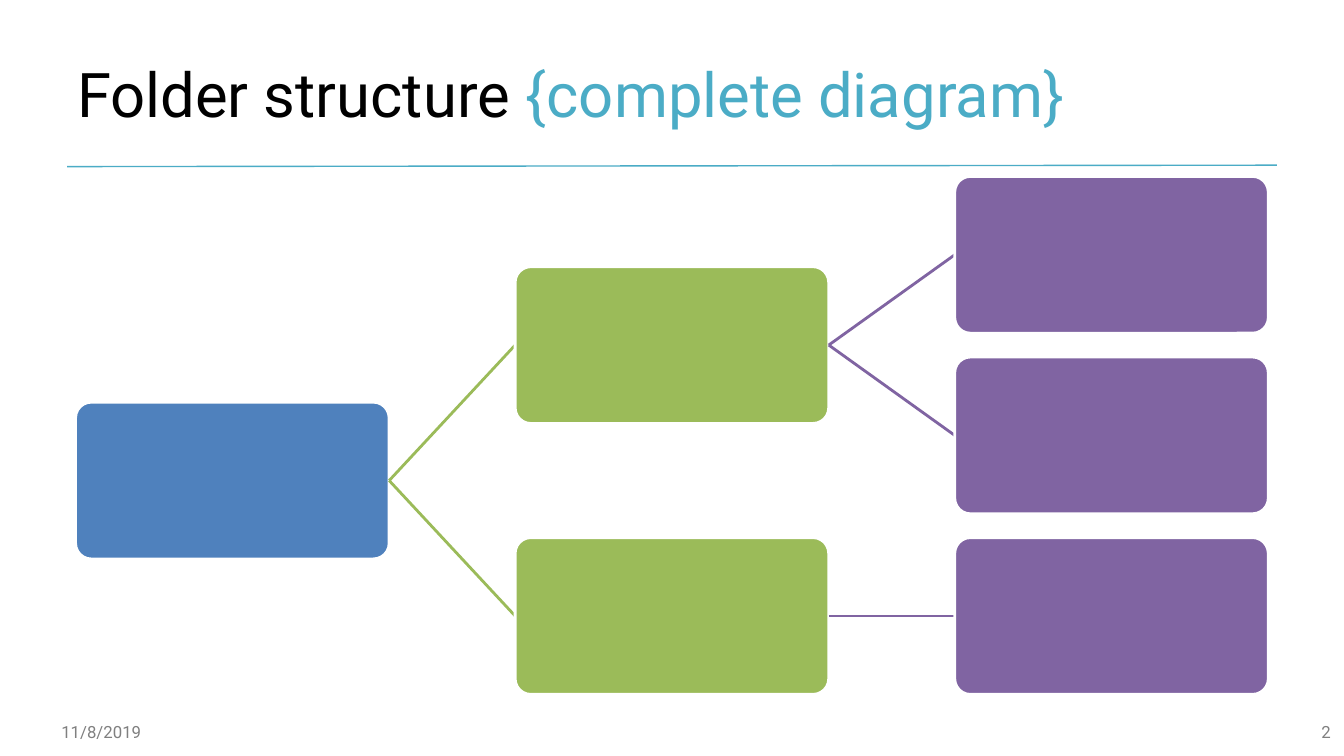
from pptx import Presentation
from pptx.dml.color import RGBColor
from pptx.enum.shapes import MSO_CONNECTOR, MSO_SHAPE
from pptx.enum.text import MSO_ANCHOR, PP_ALIGN
from pptx.oxml.ns import qn
from pptx.util import Pt
from lxml import etree

STRAIGHT = MSO_CONNECTOR.STRAIGHT
ROUNDED = MSO_SHAPE.ROUNDED_RECTANGLE
MIDDLE = MSO_ANCHOR.MIDDLE
LEFT, RIGHT = PP_ALIGN.LEFT, PP_ALIGN.RIGHT

BLACK = RGBColor(0x00, 0x00, 0x00)
WHITE = RGBColor(0xFF, 0xFF, 0xFF)
GRAY = RGBColor(0x80, 0x80, 0x80)
TEAL = RGBColor(0x4B, 0xAC, 0xC6)
BLUE = RGBColor(0x4F, 0x81, 0xBD)
GREEN = RGBColor(0x9B, 0xBB, 0x59)
PURPLE = RGBColor(0x80, 0x64, 0xA2)

LEVEL_COLORS = (BLUE, GREEN, PURPLE)
TREE_LEFT, TREE_TOP = 54, 126
BOX_W, BOX_H = 224, 112
COL_STEP, ROW_STEP = 314, 129

FOLDERS = {"row": 1.25, "children": [
    {"row": 0.5, "children": [
        {"row": 0, "children": []},
        {"row": 1, "children": []},
    ]},
    {"row": 2, "children": [
        {"row": 2, "children": []},
    ]},
]}


class Deck:
    font = "Roboto"

    def __init__(self, prs):
        self.s = prs.slides.add_slide(prs.slide_layouts[6])

    def text(self, x, y, w, h, runs, size, align=LEFT):
        tf = self.s.shapes.add_textbox(Pt(x), Pt(y), Pt(w), Pt(h)).text_frame
        tf.word_wrap = True
        tf.vertical_anchor = MIDDLE
        p = tf.paragraphs[0]
        p.alignment = align
        for text, color in runs:
            r = p.add_run()
            r.text = text
            r.font.name = self.font
            r.font.size = Pt(size)
            r.font.color.rgb = color

    def line(self, x1, y1, x2, y2, color, width):
        cx = self.s.shapes.add_connector(STRAIGHT, Pt(x1), Pt(y1), Pt(x2), Pt(y2))
        cx.line.color.rgb = color
        cx.line.width = Pt(width)
        etree.SubElement(cx.element.spPr, qn("a:effectLst"))
        return cx

    def box(self, x, y, color):
        sp = self.s.shapes.add_shape(ROUNDED, Pt(x), Pt(y), Pt(BOX_W), Pt(BOX_H))
        sp.adjustments[0] = 0.1
        sp.shadow.inherit = False
        sp.fill.solid()
        sp.fill.fore_color.rgb = color
        sp.line.color.rgb = WHITE
        sp.line.width = Pt(2)
        return sp

    def tree(self, node, level=0):
        x = TREE_LEFT + level * COL_STEP
        y = TREE_TOP + node["row"] * ROW_STEP
        sp = self.box(x, y, LEVEL_COLORS[level])
        for child in node["children"]:
            child_mid = TREE_TOP + child["row"] * ROW_STEP + BOX_H / 2
            cx = self.line(x + BOX_W, y + BOX_H / 2, x + COL_STEP, child_mid,
                           LEVEL_COLORS[level + 1], 2)
            cx.begin_connect(sp, 3)
            cx.end_connect(self.tree(child, level + 1), 1)
        return sp


def main():
    prs = Presentation()
    prs.slide_width, prs.slide_height = Pt(960), Pt(540)
    deck = Deck(prs)
    deck.line(912, 118, 48, 119, TEAL, 1)
    deck.text(48, 21.6, 864, 90,
              [("Folder structure ", BLACK), ("{complete diagram}", TEAL)], 44)
    deck.tree(FOLDERS)
    deck.text(36.7, 508.3, 206, 28.8, [("11/8/2019", GRAY)], 12)
    deck.text(733.7, 508.3, 224, 28.8, [("2", GRAY)], 12, RIGHT)
    prs.save("out.pptx")


if __name__ == "__main__":
    main()
